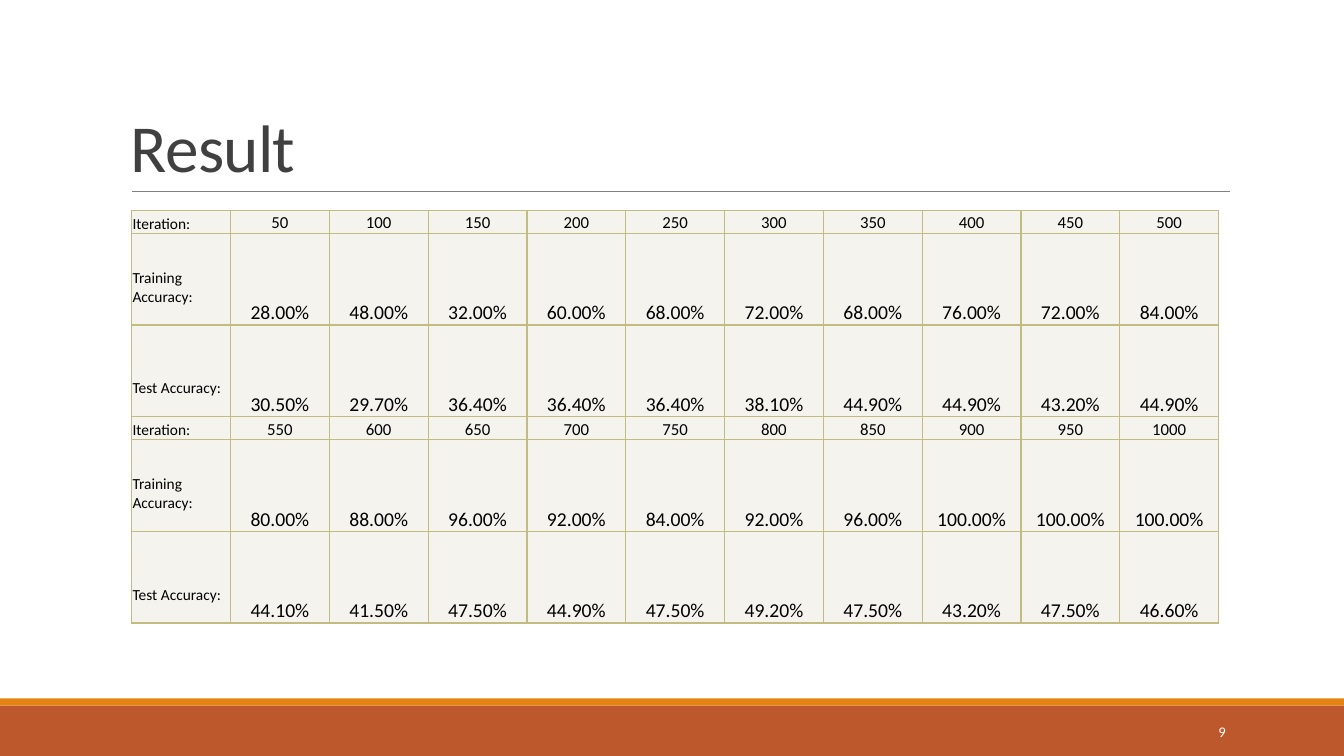
import lxml.etree
import pptx
import pptx.dml.color
import pptx.enum.shapes
import pptx.enum.text
import pptx.oxml.ns
import pptx.util

Cm = pptx.util.Cm
Pt = pptx.util.Pt
RGBColor = pptx.dml.color.RGBColor
ALIGN = pptx.enum.text.PP_ALIGN
ANCHOR = pptx.enum.text.MSO_ANCHOR
qn = pptx.oxml.ns.qn

BLACK = RGBColor(0x00, 0x00, 0x00)
WHITE = RGBColor(0xFF, 0xFF, 0xFF)
TITLE_GREY = RGBColor(0x40, 0x40, 0x40)
RULE_GREY = RGBColor(0x80, 0x80, 0x80)
RUST = RGBColor(0xBD, 0x58, 0x2C)
ORANGE = RGBColor(0xE4, 0x83, 0x12)
CELL_FILL = RGBColor(0xF4, 0xF3, 0xED)
CELL_BORDER = RGBColor(0xC2, 0xBC, 0x80)

SLIDE_WIDTH, SLIDE_HEIGHT = Cm(33.87), Cm(19.05)
HEADER_HEIGHT, ACCURACY_HEIGHT = Cm(0.58), Cm(2.31)
LABEL_LIFT = Cm(0.47)

TRAINING = [28, 48, 32, 60, 68, 72, 68, 76, 72, 84,
            80, 88, 96, 92, 84, 92, 96, 100, 100, 100]
TEST = [30.5, 29.7, 36.4, 36.4, 36.4, 38.1, 44.9, 44.9, 43.2, 44.9,
        44.1, 41.5, 47.5, 44.9, 47.5, 49.2, 47.5, 43.2, 47.5, 46.6]
ITERATIONS = range(50, 1001, 50)
PER_BLOCK = 10


def apply_format(target, values):
    """Set every attribute named in values on the target."""
    for name, value in values.items():
        setattr(target, name, value)


def write_text(frame, text, size, color, **paragraph_format):
    """Write one formatted paragraph and return its run."""
    paragraph = frame.paragraphs[0]
    apply_format(paragraph, paragraph_format)
    run = paragraph.add_run()
    run.text = text
    apply_format(run.font, {"name": "Calibri", "size": Pt(size)})
    run.font.color.rgb = color
    return run


def add_footer(slide, left, top, width, height):
    """Draw the footer band, its accent strip and the slide number."""
    strip = Cm(0.18)
    for band_top, band_height, color in ((top + strip, height - strip, RUST), (top, strip, ORANGE)):
        band = slide.shapes.add_shape(
            pptx.enum.shapes.MSO_SHAPE.RECTANGLE, left, band_top, width, band_height)
        band.shadow.inherit = False
        band.fill.solid()
        band.fill.fore_color.rgb = color
        band.line.fill.background()
    number = slide.shapes.add_textbox(left + Cm(27.51), top + Cm(0.33), Cm(3.63), Cm(1.02))
    apply_format(number.text_frame, {"word_wrap": True, "vertical_anchor": ANCHOR.MIDDLE})
    write_text(number.text_frame, "9", 10.5, WHITE, alignment=ALIGN.RIGHT)


def add_heading(slide, left, top, width, height):
    """Place the title in its box with a rule along the bottom."""
    title = slide.shapes.add_textbox(left, top, width, height)
    apply_format(title.text_frame, {"word_wrap": True, "vertical_anchor": ANCHOR.BOTTOM})
    run = write_text(title.text_frame, "Result", 48, TITLE_GREY, line_spacing=0.85)
    run.font._element.set("spc", "-50")
    bottom = top + height
    rule = slide.shapes.add_connector(
        pptx.enum.shapes.MSO_CONNECTOR.STRAIGHT,
        left + Cm(0.28), bottom, left + width, bottom)
    rule.line.color.rgb = RULE_GREY
    rule.line.width = Pt(0.5)
    lxml.etree.SubElement(rule._element.spPr, qn("a:effectLst"))


def style_cell(cell, margin_bottom):
    """Give a cell its margins, borders and fill."""
    apply_format(cell, {"margin_left": Cm(0.02), "margin_right": Cm(0.02),
                        "margin_top": Cm(0.02), "margin_bottom": margin_bottom,
                        "vertical_anchor": ANCHOR.BOTTOM})
    properties = cell._tc.get_or_add_tcPr()
    for side in ("a:lnL", "a:lnR", "a:lnT", "a:lnB"):
        border = lxml.etree.SubElement(properties, qn(side), w=str(Pt(1)))
        fill = lxml.etree.SubElement(border, qn("a:solidFill"))
        lxml.etree.SubElement(fill, qn("a:srgbClr"), val=str(CELL_BORDER))
    cell.fill.solid()
    cell.fill.fore_color.rgb = CELL_FILL


def result_rows():
    """Return label, values and whether the row holds accuracies."""
    rows = []
    for start in range(0, len(ITERATIONS), PER_BLOCK):
        block = slice(start, start + PER_BLOCK)
        rows.append(("Iteration:", [str(value) for value in ITERATIONS[block]], False))
        for label, series in (("Training Accuracy:", TRAINING), ("Test Accuracy:", TEST)):
            rows.append((label, [f"{value:.2f}%" for value in series[block]], True))
    return rows


def add_results(slide, left, top, width):
    """Build the accuracy table from the given corner and width."""
    rows = result_rows()
    heights = [ACCURACY_HEIGHT if accuracy else HEADER_HEIGHT for _, _, accuracy in rows]
    table = slide.shapes.add_table(
        len(rows), PER_BLOCK + 1, left, top, width, sum(heights)).table
    apply_format(table, {"first_row": False, "horz_banding": False})
    for row, height, (label, values, accuracy) in zip(table.rows, heights, rows):
        row.height = height
        label_cell, *value_cells = row.cells
        style_cell(label_cell, LABEL_LIFT if accuracy else 0)
        write_text(label_cell.text_frame, label, 11, BLACK)
        for cell, value in zip(value_cells, values):
            style_cell(cell, 0)
            write_text(cell.text_frame, value, 14 if accuracy else 12, BLACK,
                       alignment=ALIGN.CENTER, line_spacing=3.0 if accuracy else 1.0)


def main():
    """Build and save the result slide."""
    presentation = pptx.Presentation()
    apply_format(presentation, {"slide_width": SLIDE_WIDTH, "slide_height": SLIDE_HEIGHT})
    slide = presentation.slides.add_slide(presentation.slide_layouts[6])
    footer_height = Cm(1.45)
    add_footer(slide, 0, SLIDE_HEIGHT - footer_height, SLIDE_WIDTH, footer_height)
    add_heading(slide, Cm(3.05), Cm(0.79), Cm(27.94), Cm(4.03))
    add_results(slide, Cm(3.32), Cm(5.3), Cm(27.39))
    presentation.save("out.pptx")


if __name__ == "__main__":
    main()
